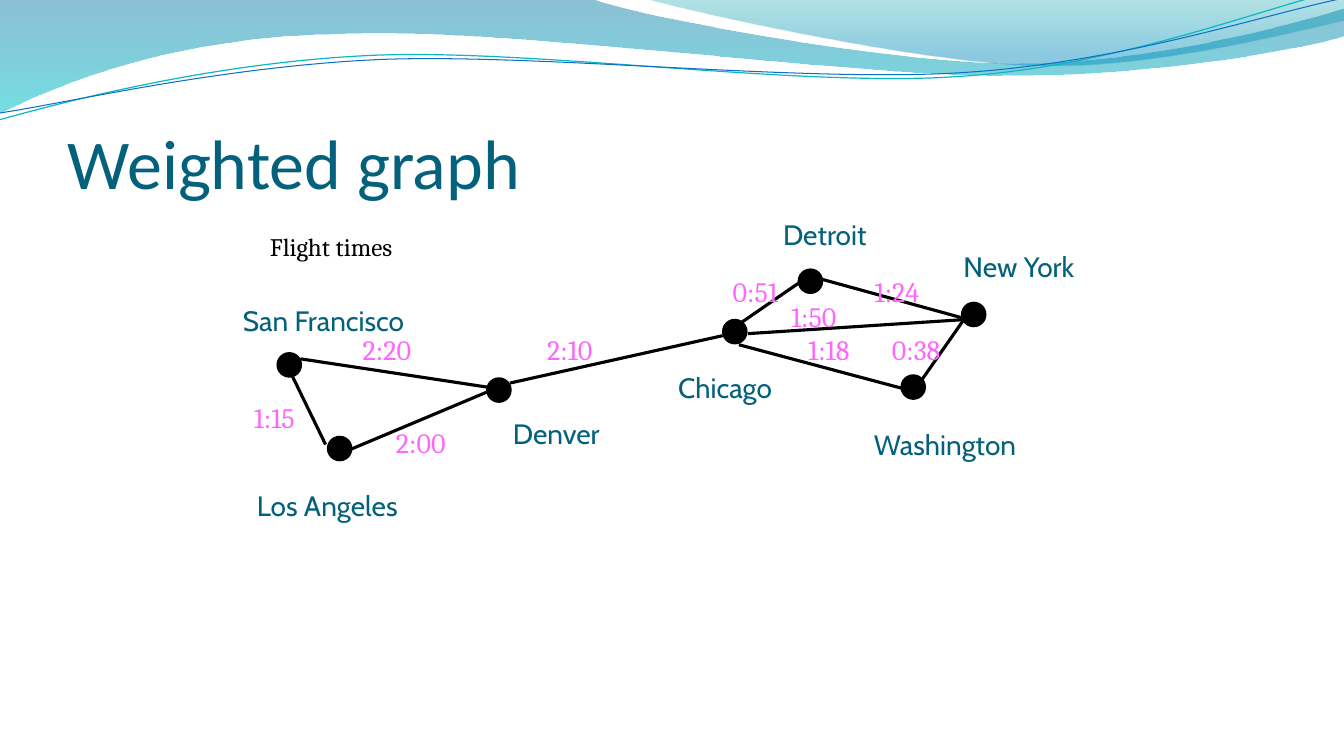
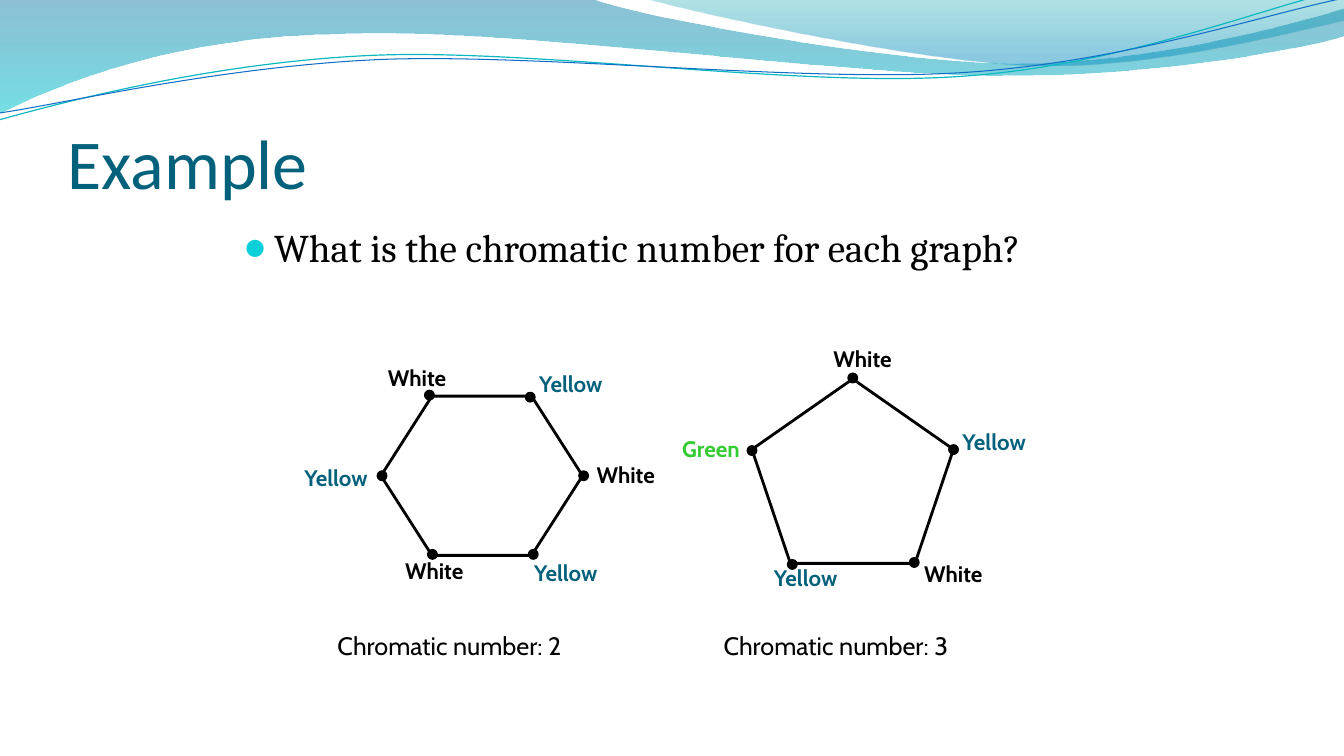
from math import cos, radians, sin
from lxml import etree
from pptx import Presentation
from pptx.dml.color import RGBColor
from pptx.enum.shapes import MSO_CONNECTOR, MSO_SHAPE
from pptx.enum.text import MSO_ANCHOR, MSO_AUTO_SIZE
from pptx.oxml import parse_xml
from pptx.oxml.ns import nsdecls, qn
from pptx.util import Emu, Pt

PX = 9144
COLORS = {
    "title": "04617B", "text": "000000", "bullet": "0BD0D9", "time": "FF66FF", "green": "33CC33",
    "band_top": "0074A1", "band_bottom": "00C6CF", "sheen_top": "00A1A9", "sheen_bottom": "008BBF",
    "wave_teal": "0AB8BF", "wave_blue": "0F6FC6",
}

BAND = [(0, 0), (587, -1), (634, 17, 885, 63, 1011, 63), (1138, 63, 1278, 26, 1333, 9), (1335, 36),
        (1311, 44, 1160, 76, 994, 75), (829, 75, 509, 28, 343, 34), (172, 36, 61, 83, -1, 113)]
SHEEN = [(639, -1), (679, 11, 909, 62, 1025, 65), (1141, 69, 1282, 32, 1333, 21), (1333, 0)]
WAVE_TURN = -2.7
WAVES = [
    ("wave_teal", 0.85, [(-1, 119), (64, 101, 211, 62, 369, 55), (527, 48, 790, 87, 950, 76),
                         (1110, 66, 1252, 8, 1331, -10)]),
    ("wave_blue", 0.75, [(0, 112), (63, 103, 218, 66, 378, 59), (537, 53, 796, 82, 955, 72),
                         (1115, 62, 1255, 14, 1334, -2)]),
]

CITIES = [
    ("San Francisco", (57, 152), (1, 86, 188)),
    ("Los Angeles", (107, 235), (15, 270, 165)),
    ("Denver", (265, 177), (269, 198, 108)),
    ("Chicago", (499, 119), (433, 153, 116)),
    ("Detroit", (574, 69), (537, 1, 104)),
    ("New York", (736, 102), (716, 33, 138)),
    ("Washington", (676, 174), (627, 209, 165)),
]
FLIGHTS = [
    ("1:15", (58, 159, 93, 231), (12, 182)),
    ("0:51", (565, 69, 504, 111), (487, 57)),
    ("2:20", (68, 146, 253, 174), (120, 115)),
    ("2:00", (253, 179, 115, 237), (153, 207)),
    ("1:24", (585, 67, 727, 106), (628, 57)),
    ("1:50", (512, 121, 728, 107), (545, 82)),
    ("1:18", (503, 132, 664, 175), (562, 115)),
    ("2:10", (487, 123, 276, 170), (303, 115)),
    ("0:38", (727, 106, 683, 169), (645, 115)),
]

VERTEX_STYLES = {"White": ("text", 86), "Yellow": ("title", 95), "Green": ("green", 87)}
HEXAGON = [
    ("White", (48, -1), (-3, -37)), ("Yellow", (148, 1), (147, -31)),
    ("White", (201, 79), (204, 60)), ("Yellow", (151, 157), (142, 157)),
    ("White", (51, 157), (14, 155)), ("Yellow", (1, 79), (-86, 63)),
]
PENTAGON = [
    ("White", (100, -1), (71, -39)), ("Yellow", (200, 70), (199, 44)),
    ("White", (161, 182), (161, 175)), ("Yellow", (40, 184), (12, 179)),
    ("Green", (0, 71), (-79, 51)),
]


def px(*lengths):
    return [Emu(round(n * PX)) for n in lengths]


def rgb(name):
    return RGBColor.from_string(COLORS[name])


def add_text(s, text, box, size, font, color, bold=False, wrap=True, grow=True,
             insets=(10, 5, 10, 5)):
    tf = s.shapes.add_textbox(*px(*box)).text_frame
    tf.word_wrap = wrap
    if grow:
        tf.auto_size = MSO_AUTO_SIZE.SHAPE_TO_FIT_TEXT
    tf.margin_left, tf.margin_top, tf.margin_right, tf.margin_bottom = px(*insets)
    tf.text = text
    r = tf.paragraphs[0].runs[0]
    r.font.size, r.font.name, r.font.bold = Pt(size), font, bold
    r.font.color.rgb = rgb(color)
    return tf


def add_outlined(s, kind, box, width, filled=False):
    sp = s.shapes.add_shape(kind, *px(*box))
    sp.shadow.inherit = False
    if filled:
        sp.fill.solid()
        sp.fill.fore_color.rgb = rgb("text")
    else:
        sp.fill.background()
    sp.line.color.rgb = rgb("text")
    sp.line.width = Pt(width)
    return sp


def add_dot(s, x, y, diameter, width):
    box = (x - diameter / 2, y - diameter / 2, diameter, diameter)
    add_outlined(s, MSO_SHAPE.OVAL, box, width, filled=True)


def add_edge(s, x1, y1, x2, y2):
    edge = s.shapes.add_connector(MSO_CONNECTOR.STRAIGHT, *px(x1, y1, x2, y2))
    edge.line.color.rgb = rgb("text")
    edge.line.width = Pt(2.25)
    etree.SubElement(edge._element.spPr, qn("a:effectLst"))


def turned(point, degrees, pivot):
    dx, dy = point[0] - pivot[0], point[1] - pivot[1]
    c, n = cos(radians(degrees)), sin(radians(degrees))
    return pivot[0] + dx * c - dy * n, pivot[1] + dx * n + dy * c


def add_curve(s, outline, closed, turn=0):
    points = [turned(segment[i:i + 2], -turn, (666, 58))
              for segment in outline for i in range(0, len(segment), 2)]
    points = [px(*point) for point in points]
    builder = s.shapes.build_freeform(*points[0], scale=1.0)
    builder.add_line_segments(points[1:], close=closed)
    sp = builder.convert_to_shape()
    lines = iter(list(sp._element.iter(qn("a:lnTo"))))
    for segment in outline[1:]:
        line = next(lines)
        if len(segment) == 6:
            line.tag = qn("a:cubicBezTo")
            for _ in range(2):
                control = next(lines)
                line.append(control[0])
                control.getparent().remove(control)
    sp.rotation = turn
    sp.shadow.inherit = False
    sp.fill.background()
    return sp


def add_gradient_band(s, outline, stops):
    sp = add_curve(s, outline, True)
    sp.line.fill.background()
    stop_xml = "".join(
        f'<a:gs pos="{pos * 1000}"><a:srgbClr val="{COLORS[name]}">'
        f'<a:alpha val="{alpha * 1000}"/></a:srgbClr></a:gs>' for pos, name, alpha in stops)
    gradient = parse_xml(f'<a:gradFill {nsdecls("a")} rotWithShape="1"><a:gsLst>{stop_xml}</a:gsLst>'
                         '<a:lin ang="5400000" scaled="0"/></a:gradFill>')
    sp_pr = sp._element.spPr
    sp_pr.replace(sp_pr.find(qn("a:noFill")), gradient)


def move_to_layout(s):
    for number, sp in enumerate(list(s.shapes), 101):
        sp._element.nvSpPr.cNvPr.set("id", str(number))
        s.slide_layout.shapes._spTree.append(sp._element)


def add_header(s):
    add_gradient_band(s, BAND, [(0, "band_top", 45), (100, "band_bottom", 55)])
    add_gradient_band(s, SHEEN, [(0, "sheen_top", 30), (80, "sheen_bottom", 45)])
    for color, width, outline in WAVES:
        wave = add_curve(s, outline, False, WAVE_TURN)
        wave.line.color.rgb = rgb(color)
        wave.line.width = Pt(width)
    move_to_layout(s)


def new_slide(prs, title):
    s = prs.slides.add_slide(prs.slide_layouts[6])
    if len(prs.slides) == 1:
        add_header(s)
    tf = add_text(s, title, (67, 77, 1200, 125), 50, "Calibri", "title", grow=False,
                  insets=(0, 5, 0, 0))
    tf.vertical_anchor = MSO_ANCHOR.BOTTOM
    return s


def add_flight_map(s, left, top):
    for _, (x1, y1, x2, y2), _ in FLIGHTS:
        add_edge(s, left + x1, top + y1, left + x2, top + y2)
    for city, (x, y), (label_x, label_y, width) in CITIES:
        add_dot(s, left + x, top + y, 24, 1)
        add_text(s, city, (left + label_x, top + label_y, width, 43), 20, "Cabin", "title", wrap=False)
    for time, _, (x, y) in FLIGHTS:
        add_text(s, time, (left + x, top + y, 83, 43), 20, "Cambria", "time")
    add_text(s, "Flight times", (left + 28, top + 15, 233, 40), 18, "Cambria", "text")


def add_question(s, text, box):
    tf = add_text(s, text, box, 28, "Cambria", "text", grow=False, insets=(0, 5, 0, 5))
    p_pr = tf.paragraphs[0]._p.get_or_add_pPr()
    indent = px(30)[0]
    p_pr.set("marL", str(indent))
    p_pr.set("indent", str(-indent))
    color = etree.SubElement(p_pr, qn("a:buClr"))
    etree.SubElement(color, qn("a:srgbClr"), val=COLORS["bullet"])
    etree.SubElement(p_pr, qn("a:buSzPct"), val="95000")
    etree.SubElement(p_pr, qn("a:buFont"), typeface="Calibri")
    etree.SubElement(p_pr, qn("a:buChar"), char="●")


def add_colored_graph(s, kind, box, vertices, caption, caption_offset):
    left, top = box[:2]
    outline = add_outlined(s, kind, box, 2)
    for name, (x, y), (label_x, label_y) in vertices:
        add_dot(s, left + x, top + y, 8, 2)
        color, width = VERTEX_STYLES[name]
        add_text(s, name, (left + label_x, top + label_y, width, 37), 16, "Cabin", color,
                 bold=True, wrap=False)
    dx, dy = caption_offset
    add_text(s, caption, (left + dx, top + dy, 257, 40), 18, "Cabin", "text", wrap=False)
    return outline


def weighted_graph_slide(prs):
    s = new_slide(prs, "Weighted graph")
    add_flight_map(s, 230, 210)


def coloring_slide(prs):
    s = new_slide(prs, "Example")
    add_question(s, "What is the chromatic number for each graph?", (242, 217, 875, 83))
    hexagon = add_colored_graph(s, MSO_SHAPE.HEXAGON, (378, 393, 200, 158), HEXAGON,
                                "Chromatic number: 2", (-53, 227))
    hexagon.adjustments[0] = 0.32
    add_colored_graph(s, MSO_SHAPE.REGULAR_PENTAGON, (746, 376, 200, 183), PENTAGON,
                      "Chromatic number: 3", (-38, 244))


def main():
    prs = Presentation()
    prs.slide_width, prs.slide_height = px(1333.33, 750)
    weighted_graph_slide(prs)
    coloring_slide(prs)
    prs.save("out.pptx")


if __name__ == "__main__":
    main()
